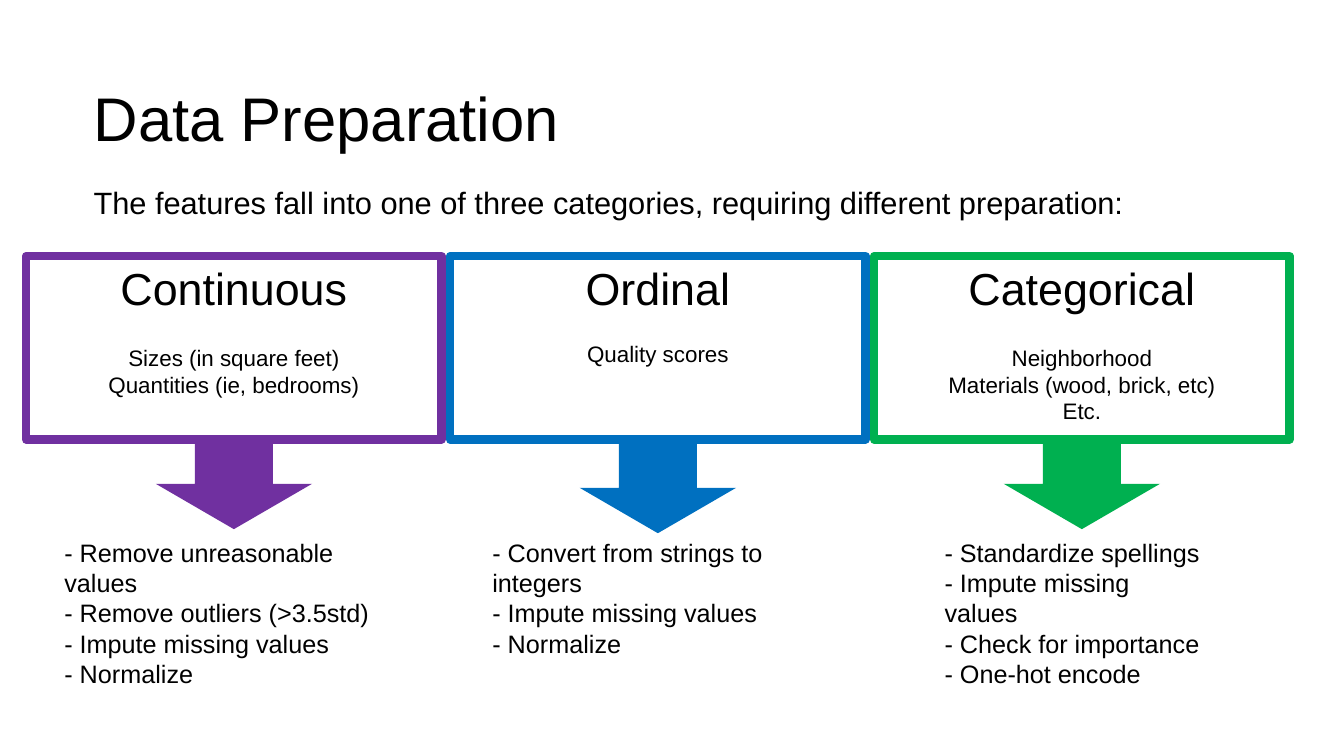
from pptx import Presentation
from pptx.dml.color import RGBColor
from pptx.enum.shapes import MSO_SHAPE
from pptx.enum.text import MSO_ANCHOR, PP_ALIGN
from pptx.util import Pt

EMU_PER_PX = 9144  # 100 px to the inch
BLACK = RGBColor(0x00, 0x00, 0x00)
PURPLE = RGBColor(0x70, 0x30, 0xA0)
BLUE = RGBColor(0x00, 0x70, 0xC0)
GREEN = RGBColor(0x00, 0xB0, 0x50)

COLUMN_LEFT, COLUMN_TOP = 26, 254
COLUMN_WIDTH, COLUMN_PITCH = 412, 420.5
BOX_HEIGHT = 182
ARROW_WIDTH, ARROW_HEIGHT = 155, 90
STEPS_TOP = 274  # below the top of the column

# name, colour, gap before examples (pt), examples, arrow offset, steps offset, steps width, steps
CATEGORIES = [
    ("Continuous", PURPLE, 20.7,
     ["Sizes (in square feet)", "Quantities (ie, bedrooms)"], 181, 28, 356,
     ["Remove unreasonable values", "Remove outliers (>3.5std)",
      "Impute missing values", "Normalize"]),
    ("Ordinal", BLUE, 18.4, ["Quality scores"], 185, 32, 377,
     ["Convert from strings to integers", "Impute missing values", "Normalize"]),
    ("Categorical", GREEN, 20.7,
     ["Neighborhood", "Materials (wood, brick, etc)", "Etc."], 181, 60, 278,
     ["Standardize spellings", "Impute missing values",
      "Check for importance", "One-hot encode"]),
]


def px(*lengths):
    return [round(length * EMU_PER_PX) for length in lengths]


def write_lines(shape, lines, size, alignment=PP_ALIGN.LEFT, anchor=MSO_ANCHOR.TOP):
    frame = shape.text_frame
    frame.word_wrap = True
    frame.vertical_anchor = anchor
    frame.text = "\n".join(lines)
    for paragraph in frame.paragraphs:
        paragraph.alignment = alignment
        paragraph.font.name = "Arial"
        paragraph.font.size = Pt(size)
        paragraph.font.color.rgb = BLACK
    return frame.paragraphs


def add_heading(slide, left, top, width):
    title = slide.shapes.add_textbox(*px(left, top, width, 157))
    write_lines(title, ["Data Preparation"], 44, anchor=MSO_ANCHOR.MIDDLE)
    intro = slide.shapes.add_textbox(*px(left, top + 137, width + 61, 76))
    paragraphs = write_lines(
        intro,
        ["The features fall into one of three categories, requiring different preparation:"],
        22)
    paragraphs[0].line_spacing = 1.1


def add_category(slide, left, top, width, category):
    name, color, gap, examples, arrow_offset, steps_offset, steps_width, steps = category

    # Framed box with the name and examples
    box = slide.shapes.add_shape(MSO_SHAPE.RECTANGLE, *px(left, top, width, BOX_HEIGHT))
    box.shadow.inherit = False
    box.fill.background()
    box.line.color.rgb = color
    box.line.width = Pt(6)
    paragraphs = write_lines(box, [name, *examples], 16, PP_ALIGN.CENTER)
    paragraphs[0].font.size = Pt(32)
    paragraphs[1].space_before = Pt(gap)

    # Arrow to the steps
    arrow = slide.shapes.add_shape(
        MSO_SHAPE.DOWN_ARROW,
        *px(left + (width - ARROW_WIDTH) / 2, top + arrow_offset, ARROW_WIDTH, ARROW_HEIGHT))
    arrow.shadow.inherit = False
    arrow.fill.solid()
    arrow.fill.fore_color.rgb = color
    arrow.line.fill.background()

    # Preparation steps
    step_list = slide.shapes.add_textbox(
        *px(left + steps_offset, top + STEPS_TOP, steps_width, 131))
    write_lines(step_list, [f"- {step}" for step in steps], 18)


def main():
    presentation = Presentation()
    presentation.slide_width, presentation.slide_height = px(1333, 750)
    slide = presentation.slides.add_slide(presentation.slide_layouts[6])
    add_heading(slide, 83, 37, 1135)
    for index, category in enumerate(CATEGORIES):
        add_category(slide, COLUMN_LEFT + index * COLUMN_PITCH, COLUMN_TOP,
                     COLUMN_WIDTH, category)
    presentation.save("out.pptx")


if __name__ == "__main__":
    main()
